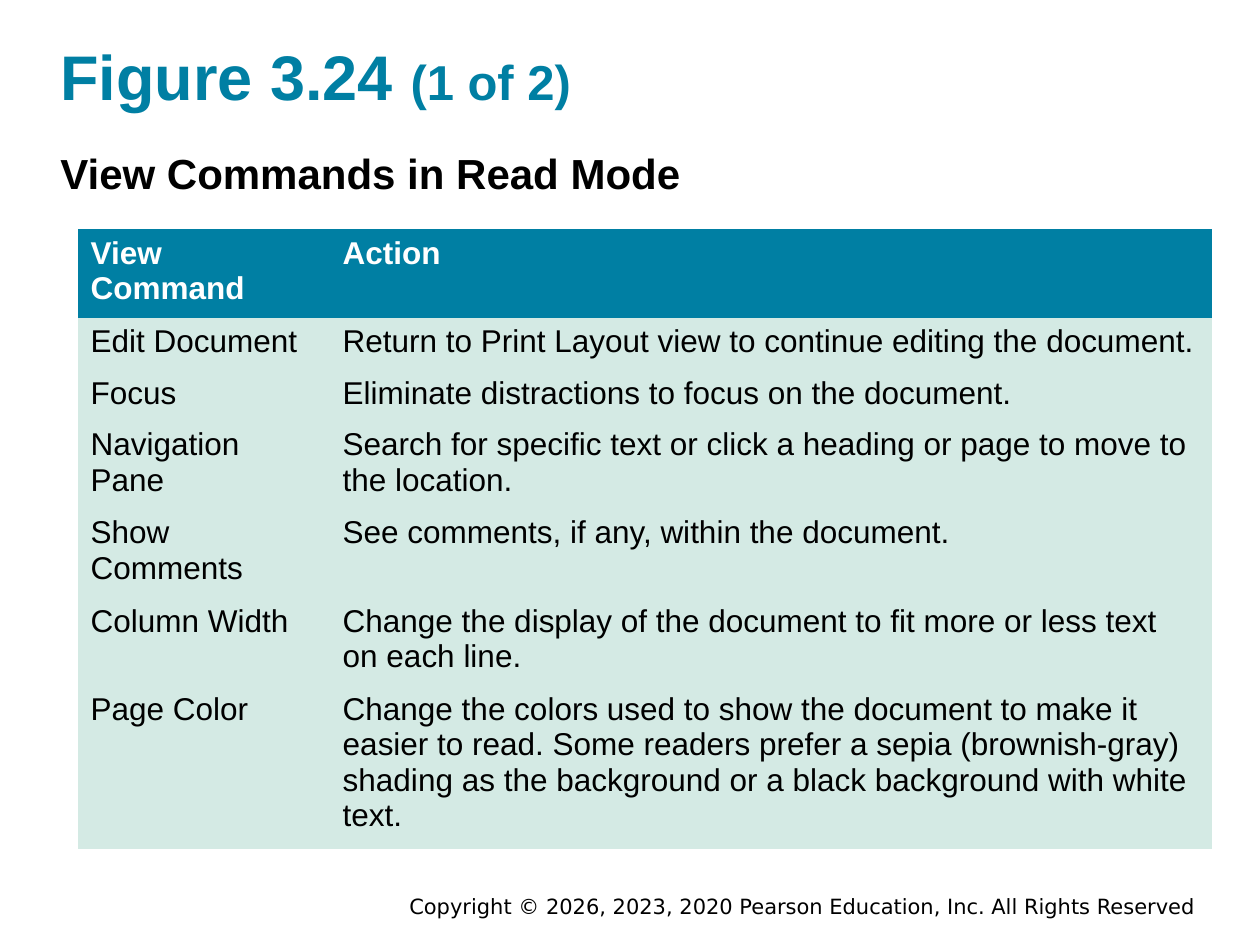
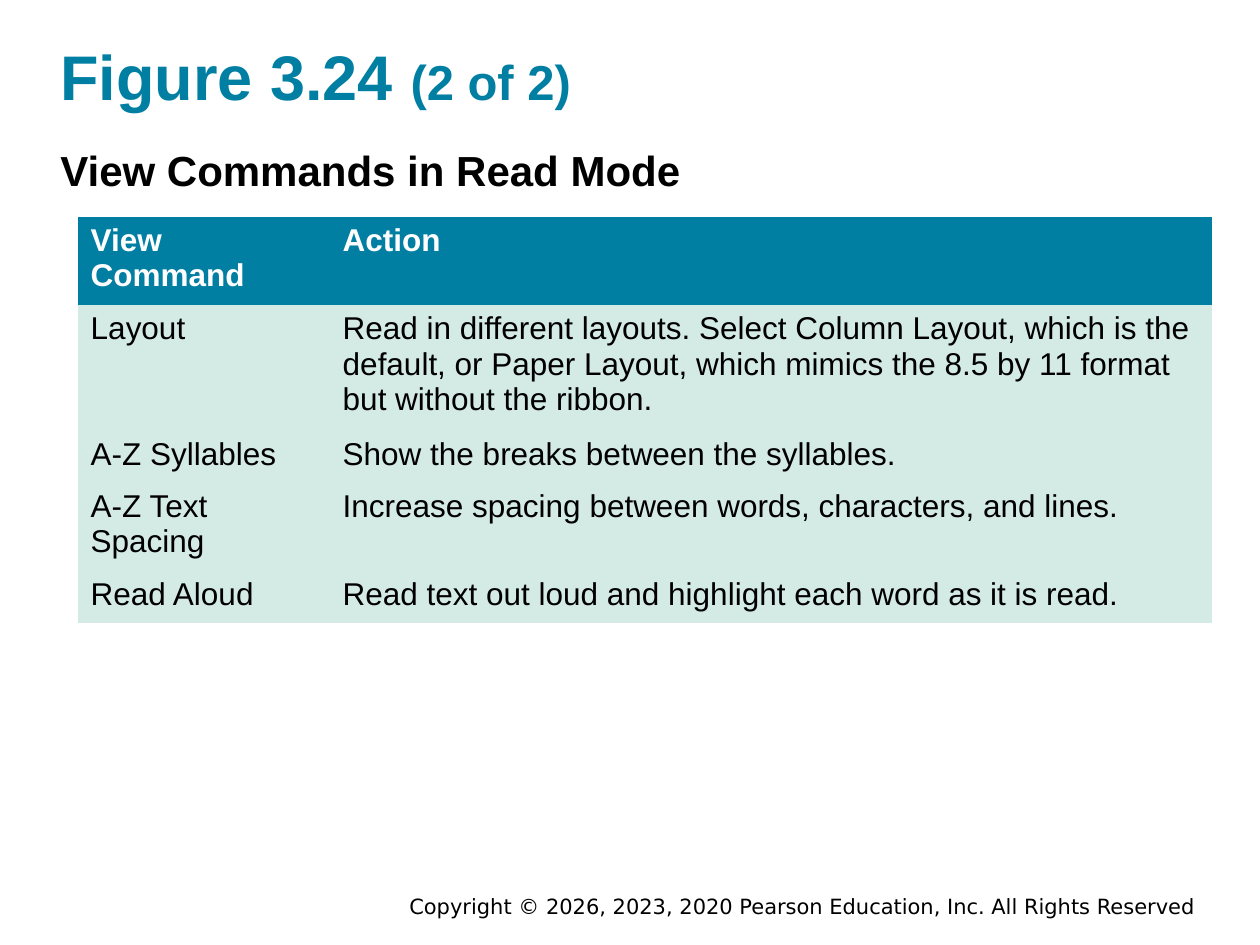
from dataclasses import dataclass

from pptx import Presentation
from pptx.dml.color import RGBColor
from pptx.enum.text import MSO_ANCHOR, PP_ALIGN
from pptx.oxml.ns import qn
from pptx.util import Inches, Pt

FIGURE = "Figure 3.24 "
SUBTITLE = "View Commands in Read Mode"
COPYRIGHT = "Copyright © 2026, 2023, 2020 Pearson Education, Inc. All Rights Reserved"
HEADER = ("View Command", "Action", 2)

# Each row: command, action, number of text lines
SLIDES = [
    {
        "part": "(1 of 2)",
        "subtitle_top": 1.15,
        "table_top": 1.82,
        "rows": [
            ("Edit Document", "Return to Print Layout view to continue editing the document.", 1),
            ("Focus", "Eliminate distractions to focus on the document.", 1),
            ("Navigation Pane", "Search for specific text or click a heading or page to move to the location.", 2),
            ("Show Comments", "See comments, if any, within the document.", 2),
            ("Column Width", "Change the display of the document to fit more or less text on each line.", 2),
            ("Page Color", "Change the colors used to show the document to make it easier to read. "
             "Some readers prefer a sepia (brownish-gray) shading as the background "
             "or a black background with white text.", 4),
        ],
    },
    {
        "part": "(2 of 2)",
        "subtitle_top": 1.13,
        "table_top": 1.72,
        "rows": [
            ("Layout", "Read in different layouts. Select Column Layout, which is the default, "
             "or Paper Layout, which mimics the 8.5 by 11 format but without the ribbon.", 3),
            ("A-Z Syllables", "Show the breaks between the syllables.", 1),
            ("A-Z Text Spacing", "Increase spacing between words, characters, and lines.", 2),
            ("Read Aloud", "Read text out loud and highlight each word as it is read.", 1),
        ],
    },
]


@dataclass(frozen=True)
class Theme:
    accent: RGBColor = RGBColor(0x00, 0x7F, 0xA3)
    row_fill: RGBColor = RGBColor(0xD4, 0xEA, 0xE4)
    black: RGBColor = RGBColor(0, 0, 0)
    white: RGBColor = RGBColor(255, 255, 255)
    font: str = "Arial"
    footer_font: str = "DejaVu Sans"
    title_size: int = 36
    part_size: int = 28
    subtitle_size: int = 24
    table_size: int = 18
    footer_size: int = 12


THEME = Theme()
SLIDE_SIZE = (10, 7.5)
MARGIN = 0.48
CONTENT_WIDTH = 9
TABLE_LEFT = 0.62
COLUMN_WIDTHS = (2, 7)
LINE_HEIGHT = 0.29
ROW_PADDING = 0.12
PLAIN_TABLE_STYLE = "{2D5ABB26-0587-4C30-8999-92F81FD0307C}"


def style(paragraph, size, color, bold=False, name=THEME.font):
    font = paragraph.font
    font.size, font.bold, font.name = Pt(size), bold, name
    font.color.rgb = color


def add_text(slide, box, text, size, color, **options):
    frame = slide.shapes.add_textbox(*map(Inches, box)).text_frame
    frame.word_wrap = True
    frame.vertical_anchor = MSO_ANCHOR.MIDDLE
    frame.margin_left = frame.margin_right = 0
    frame.margin_top = frame.margin_bottom = Inches(0.02)
    paragraph = frame.paragraphs[0]
    paragraph.add_run().text = text
    style(paragraph, size, color, **options)
    return paragraph


def add_command_table(slide, top, rows):
    heights = [ROW_PADDING + LINE_HEIGHT * lines for *_, lines in rows]
    table = slide.shapes.add_table(
        len(rows), len(COLUMN_WIDTHS), Inches(TABLE_LEFT), Inches(top),
        Inches(sum(COLUMN_WIDTHS)), Inches(sum(heights))).table
    table.horz_banding = False
    table._tbl.tblPr.find(qn("a:tableStyleId")).text = PLAIN_TABLE_STYLE
    for column, width in zip(table.columns, COLUMN_WIDTHS):
        column.width = Inches(width)
    for index, (row, height, content) in enumerate(zip(table.rows, heights, rows)):
        row.height = Inches(height)
        is_header = index == 0
        for cell, text in zip(row.cells, content):
            cell.text = text
            cell.fill.solid()
            cell.fill.fore_color.rgb = THEME.accent if is_header else THEME.row_fill
            style(cell.text_frame.paragraphs[0], THEME.table_size,
                  THEME.white if is_header else THEME.black, bold=is_header)


def add_figure_slide(presentation, content):
    slide = presentation.slides.add_slide(presentation.slide_layouts[6])
    footer = add_text(slide, (2.71, 7.07, 6.78, 0.24), COPYRIGHT,
                      THEME.footer_size, THEME.black, name=THEME.footer_font)
    footer.alignment = PP_ALIGN.RIGHT
    title = add_text(slide, (MARGIN, 0.27, CONTENT_WIDTH, 0.65), FIGURE,
                     THEME.title_size, THEME.accent, bold=True)
    part = title.add_run()
    part.text = content["part"]
    part.font.size = Pt(THEME.part_size)
    add_text(slide, (MARGIN, content["subtitle_top"], CONTENT_WIDTH, 0.44), SUBTITLE,
             THEME.subtitle_size, THEME.black, bold=True)
    add_command_table(slide, content["table_top"], [HEADER, *content["rows"]])


def main():
    presentation = Presentation()
    presentation.slide_width, presentation.slide_height = map(Inches, SLIDE_SIZE)
    for content in SLIDES:
        add_figure_slide(presentation, content)
    presentation.save("out.pptx")


if __name__ == "__main__":
    main()
